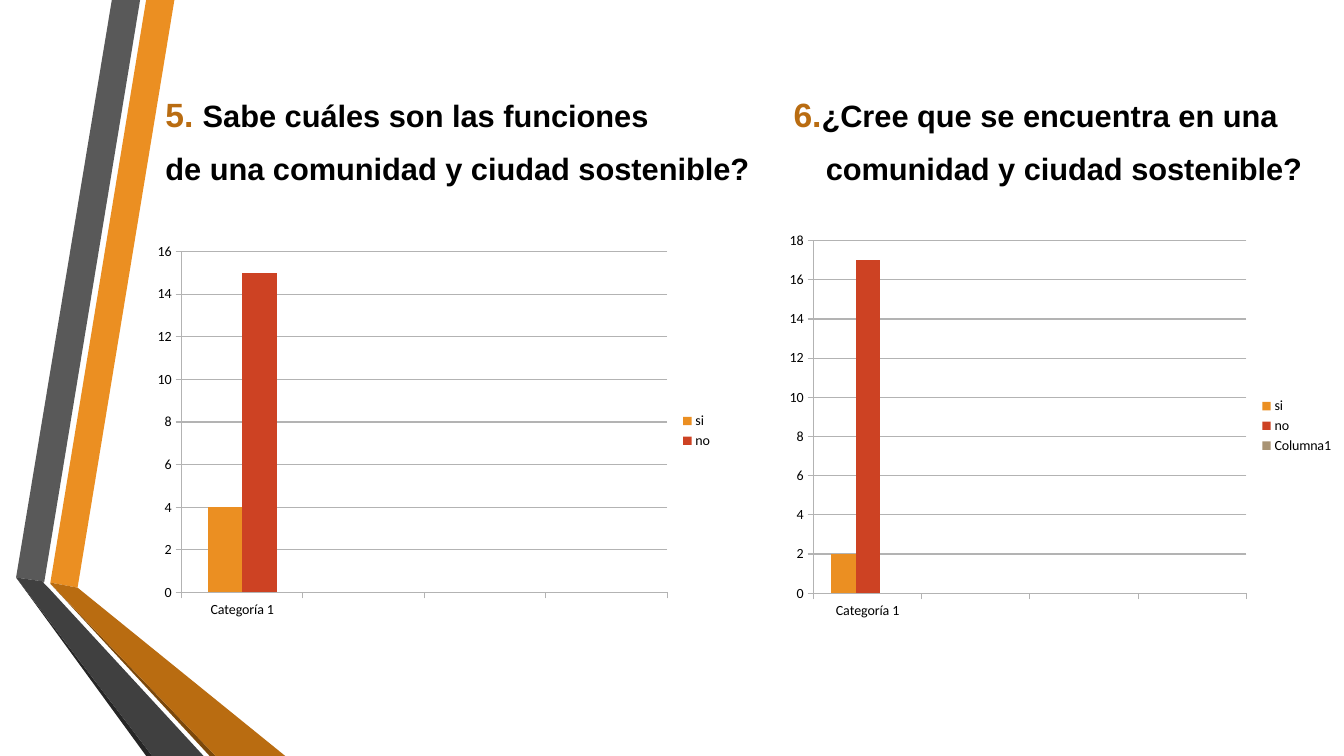
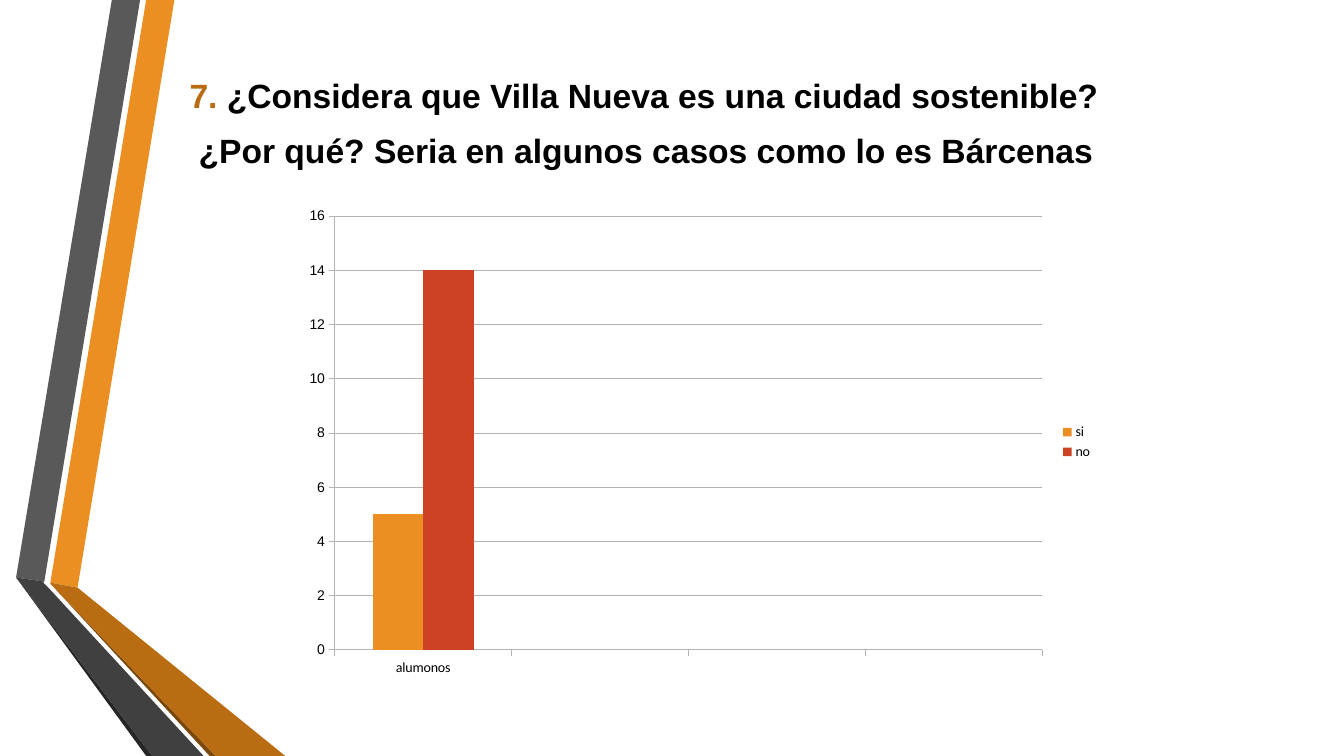
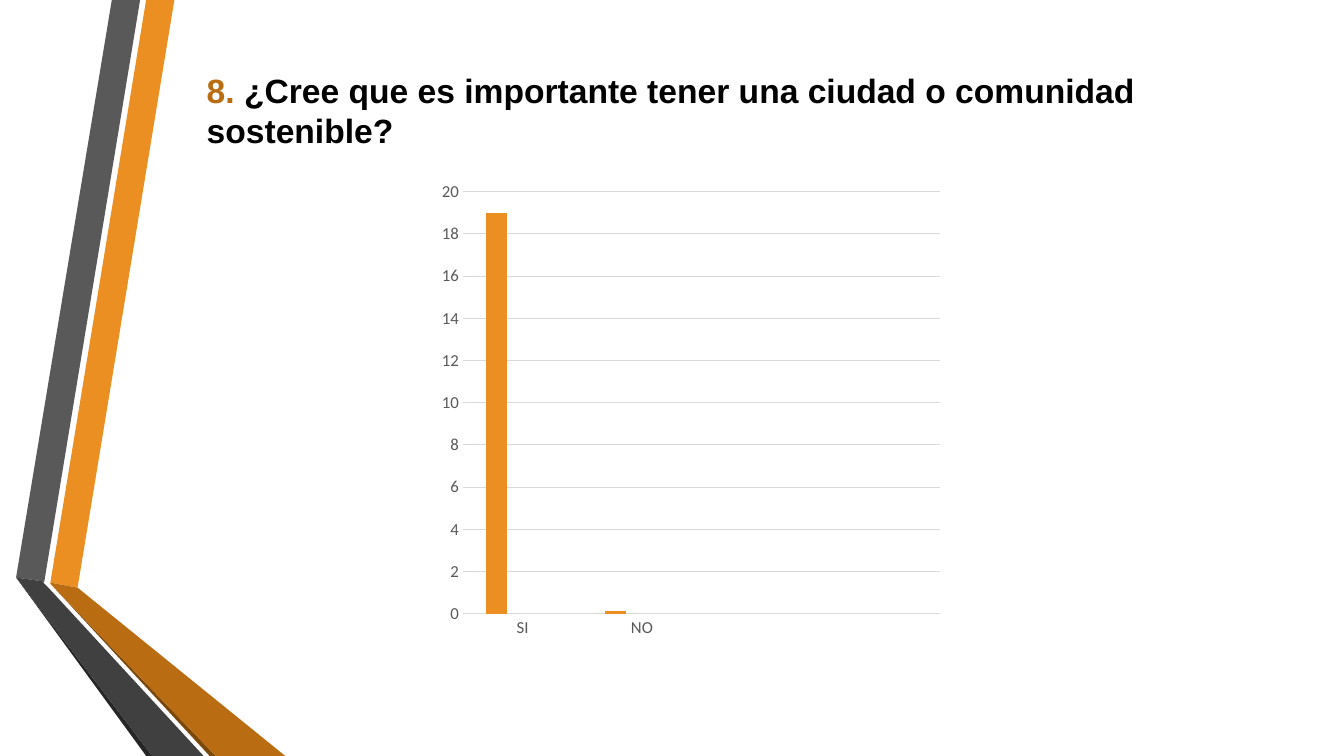
from dataclasses import dataclass
from typing import Any, NamedTuple, Optional

from lxml.etree import SubElement
from pptx import Presentation
from pptx.chart.data import CategoryChartData
from pptx.dml.color import RGBColor
from pptx.enum.chart import XL_CHART_TYPE as ChartType
from pptx.enum.chart import XL_LEGEND_POSITION as LegendPosition
from pptx.enum.chart import XL_TICK_MARK as TickMark
from pptx.enum.text import MSO_ANCHOR as Anchor
from pptx.enum.text import MSO_AUTO_SIZE as AutoSize
from pptx.enum.text import PP_ALIGN as Align
from pptx.oxml.ns import qn
from pptx.util import Inches, Pt

# Shared look
ORANGE, RED, TAN = "EB8F22", "CD4223", "A89374"
NUMBER_COLOR, BLACK, GRAY = "B96C11", "000000", "595959"
SERIES_COLORS = (ORANGE, RED, TAN)
TITLE_FONT, CHART_FONT = "Arial", "Calibri"
TITLE_FRAME = {"word_wrap": True, "auto_size": AutoSize.NONE, "vertical_anchor": Anchor.TOP}
CATEGORY_SLOTS = 4


class Box(NamedTuple):
    left: float
    top: float
    width: float
    height: float


class Band(NamedTuple):
    color: str
    points: list[tuple[float, float]]


class Words(NamedTuple):
    text: str
    size: float = 24
    color: str = BLACK


@dataclass
class Line:
    words: list[Words]
    tab: Optional[float] = None
    indent: float = 0


@dataclass
class AxisLook:
    size: float = 10
    color: str = BLACK
    line: str = "B3B3B3"
    tick: Any = TickMark.OUTSIDE
    value_font: str = CHART_FONT
    value_line: bool = True


@dataclass
class Survey:
    box: Box
    categories: list[str]
    answers: dict[str, list[float]]
    top_value: int
    look: AxisLook
    gap: int = 150
    overlap: int = 0
    legend: bool = True


@dataclass
class Page:
    title_box: Box
    title: list[Line]
    surveys: list[Survey]


BANDS = [
    Band(ORANGE, [(0.5, 5.78), (0.77, 5.83), (1.73, 0), (1.45, 0)]),
    Band(GRAY, [(1.39, 0), (1.11, 0), (0.16, 5.73), (0.44, 5.77)]),
    Band("262626", [(0.16, 5.73), (1.45, 7.5), (1.51, 7.5)]),
    Band("7B480B", [(0.5, 5.79), (2.08, 7.5), (2.14, 7.5)]),
    Band(NUMBER_COLOR, [(0.5, 5.79), (2.14, 7.5), (2.83, 7.5), (0.77, 5.83), (0.5, 5.78)]),
    Band("404040", [(2.02, 7.5), (0.48, 5.83), (0.43, 5.78), (0.44, 5.77),
                    (0.16, 5.73), (1.51, 7.5)]),
]

PLAIN = AxisLook()
PAGES = [
    Page(
        Box(1.54, 0.88, 11.63, 1.3),
        [
            Line([Words("5. ", color=NUMBER_COLOR),
                  Words("Sabe cuáles son las funciones\t", 22),
                  Words("6.", color=NUMBER_COLOR),
                  Words("¿Cree que se encuentra en una", 22)], tab=6.23),
            Line([Words("de una comunidad y ciudad sostenible?\tcomunidad y ciudad sostenible?",
                        22)], tab=6.55),
        ],
        [
            Survey(Box(1.45, 2.34, 5.72, 3.87), ["Categoría 1"],
                   {"si": [4], "no": [15]}, 16, PLAIN),
            Survey(Box(7.72, 2.23, 5.61, 3.99), ["Categoría 1"],
                   {"si": [2], "no": [17], "Columna1": []}, 18, PLAIN),
        ],
    ),
    Page(
        Box(1.78, 0.69, 10.96, 1.25),
        [
            Line([Words("7. ", color=NUMBER_COLOR),
                  Words("¿Considera que Villa Nueva es una ciudad sostenible?")]),
            Line([Words("¿Por qué? Seria en algunos casos como lo es Bárcenas")], indent=0.09),
        ],
        [Survey(Box(2.91, 1.97, 8.03, 4.83), ["alumonos"], {"si": [5], "no": [14]}, 16,
                AxisLook(value_font=TITLE_FONT))],
    ),
    Page(
        Box(1.95, 0.64, 9.82, 1.05),
        [Line([Words("8. ", color=NUMBER_COLOR),
               Words("¿Cree que es importante tener una ciudad o comunidad sostenible?")])],
        [Survey(Box(4.28, 1.71, 5.15, 4.71), ["SI", "NO"],
                {"Series 1": [19, 0.1], "Series 2": [], "Series 3": []}, 20,
                AxisLook(12, GRAY, "D9D9D9", TickMark.NONE, value_line=False),
                gap=219, overlap=-27, legend=False)],
    ),
]


def rgb(color: str) -> RGBColor:
    return RGBColor.from_string(color)


def assign(target: Any, formats: dict[str, Any]) -> None:
    for attribute, value in formats.items():
        setattr(target, attribute, value)


def set_font(font: Any, name: str, size: float, color: str, bold: bool = False) -> None:
    assign(font, {"name": name, "size": Pt(size), "bold": bold})
    font.color.rgb = rgb(color)


def set_line(line: Any, color: str) -> None:
    line.color.rgb = rgb(color)
    line.width = Pt(0.75)


def placed(box: Box) -> dict[str, int]:
    return {side: Inches(length) for side, length in box._asdict().items()}


def add_bands_to_master(slide: Any, master: Any) -> None:
    """Draw the ribbon on a slide, then move it behind everything on the master."""
    for order, band in enumerate(BANDS):
        corners = [(Inches(x), Inches(y)) for x, y in band.points]
        outline = slide.shapes.build_freeform(*corners[0], scale=1.0)
        outline.add_line_segments(corners[1:], close=True)
        ribbon = outline.convert_to_shape()
        ribbon.shadow.inherit = False
        ribbon.fill.solid()
        ribbon.fill.fore_color.rgb = rgb(band.color)
        ribbon.line.fill.background()
        ribbon.element.nvSpPr.cNvPr.id = 20 + order
        master.shapes.element.insert(2 + order, ribbon.element)


def write_title(slide: Any, page: Page) -> None:
    title = slide.shapes.title
    assign(title, placed(page.title_box))
    frame = title.text_frame
    assign(frame, TITLE_FRAME)
    for order, line in enumerate(page.title):
        paragraph = frame.add_paragraph() if order else frame.paragraphs[0]
        assign(paragraph, {"alignment": Align.LEFT, "space_after": Pt(6),
                           "space_before": Pt(5 if order else 0)})
        properties = paragraph._p.get_or_add_pPr()
        if line.indent:
            properties.set("marL", str(Inches(line.indent)))
        if line.tab:
            stops = SubElement(properties, qn("a:tabLst"))
            SubElement(stops, qn("a:tab"), pos=str(Inches(line.tab)), algn="l")
        for words in line.words:
            run = paragraph.add_run()
            run.text = words.text
            set_font(run.font, TITLE_FONT, words.size, words.color, bold=True)


def add_survey(slide: Any, survey: Survey) -> None:
    data = CategoryChartData()
    data.categories = survey.categories + [""] * (CATEGORY_SLOTS - len(survey.categories))
    for name, values in survey.answers.items():
        data.add_series(name, values + [None] * (CATEGORY_SLOTS - len(values)))
    chart = slide.shapes.add_chart(
        ChartType.COLUMN_CLUSTERED, *map(Inches, survey.box), data).chart
    assign(chart, {"has_title": False, "has_legend": survey.legend})
    set_font(chart.font, CHART_FONT, 10, BLACK)
    if survey.legend:
        assign(chart.legend, {"position": LegendPosition.RIGHT, "include_in_layout": False})

    # Columns
    columns = chart.plots[0]
    assign(columns, {"gap_width": survey.gap, "overlap": survey.overlap,
                     "vary_by_categories": False})
    for series, color in zip(columns.series, SERIES_COLORS):
        series.format.fill.solid()
        series.format.fill.fore_color.rgb = rgb(color)
        series.invert_if_negative = False

    # Axes and grid
    look = survey.look
    answers_axis, count_axis = chart.category_axis, chart.value_axis
    for axis, font in ((answers_axis, CHART_FONT), (count_axis, look.value_font)):
        assign(axis, {"major_tick_mark": look.tick, "minor_tick_mark": TickMark.NONE})
        set_font(axis.tick_labels.font, font, look.size, look.color)
        set_line(axis.format.line, look.line)
    assign(count_axis, {"minimum_scale": 0, "maximum_scale": survey.top_value,
                        "major_unit": 2, "has_major_gridlines": True})
    set_line(count_axis.major_gridlines.format.line, look.line)
    if not look.value_line:
        count_axis.format.line.fill.background()


def main() -> None:
    deck = Presentation()
    assign(deck, {"slide_width": Inches(13.33), "slide_height": Inches(7.5)})
    title_only = deck.slide_layouts[5]
    for order, page in enumerate(PAGES):
        slide = deck.slides.add_slide(title_only)
        if order == 0:
            add_bands_to_master(slide, deck.slide_master)
        write_title(slide, page)
        for survey in page.surveys:
            add_survey(slide, survey)
    deck.save("out.pptx")


if __name__ == "__main__":
    main()
